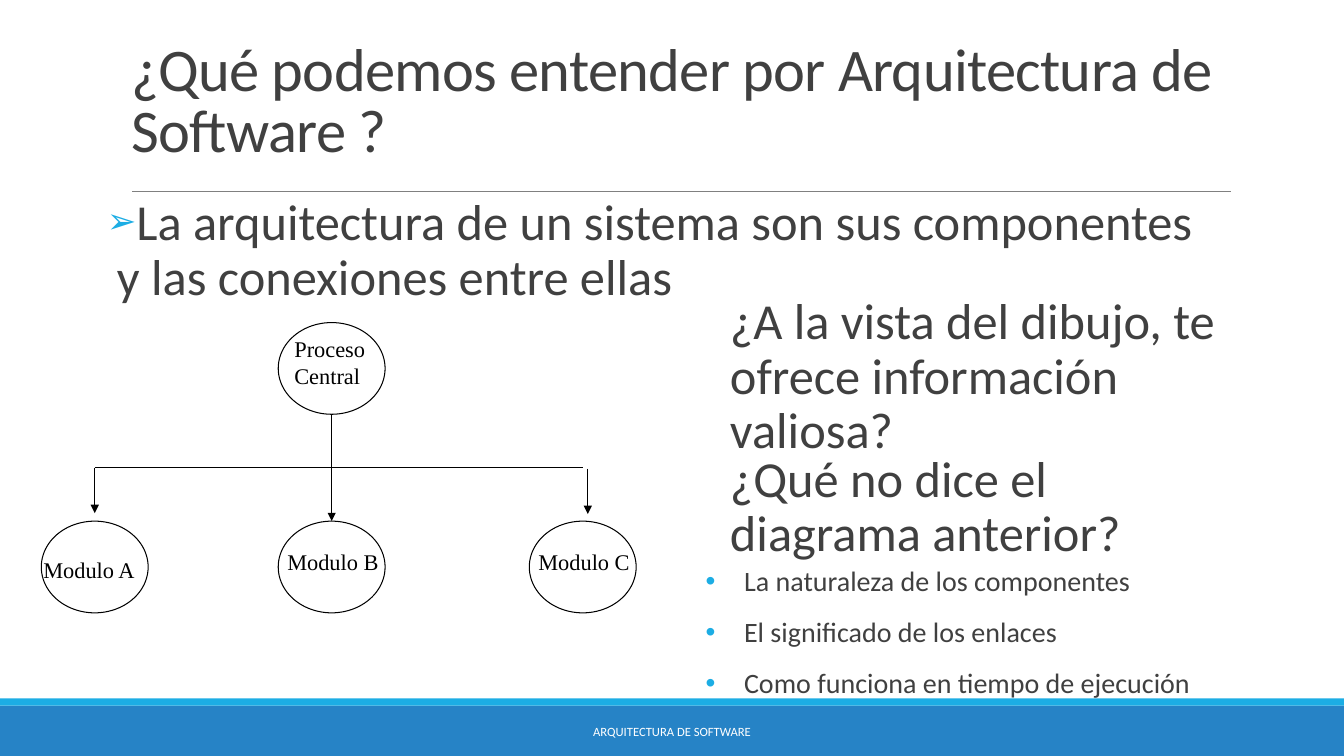
from lxml.etree import SubElement
from pptx import Presentation
from pptx.dml.color import RGBColor
from pptx.enum.shapes import MSO_CONNECTOR as CONNECTOR, MSO_SHAPE as SHAPE
from pptx.enum.text import MSO_ANCHOR as ANCHOR, MSO_AUTO_SIZE as AUTO_SIZE, PP_ALIGN as ALIGN
from pptx.oxml.ns import qn
from pptx.util import Inches, Pt

COLORS = {
    "band": "2683C6",
    "accent": "1CADE4",
    "rule": "808080",
    "text": "404040",
    "ink": "000000",
    "white": "FFFFFF",
}
NODE_WIDTH, NODE_HEIGHT = 1.06, 0.91
BRANCH_Y, MODULE_Y = 4.64, 5.17


def color(name):
    """Return the named colour."""
    return RGBColor.from_string(COLORS[name])


def format_runs(paragraph, size, font, color_name, spacing=None):
    """Format every run of a paragraph."""
    for run in paragraph.runs:
        run.font.size = Pt(size)
        run.font.name = font
        run.font.color.rgb = color(color_name)
        if spacing is not None:
            run.font._element.set("spc", str(round(spacing * 100)))


def add_bullet(paragraph, character, indent, percent):
    """Give a paragraph a coloured bullet with a hanging indent."""
    properties = paragraph._p.get_or_add_pPr()
    properties.set("marL", str(Inches(indent)))
    properties.set("indent", str(-Inches(indent)))
    bullet_color = SubElement(properties, qn("a:buClr"))
    SubElement(bullet_color, qn("a:srgbClr"), val=COLORS["accent"])
    SubElement(properties, qn("a:buSzPct"), val=str(percent * 1000))
    SubElement(properties, qn("a:buFont"), typeface="Arial")
    SubElement(properties, qn("a:buChar"), char=character)


def add_text(slide, box, lines, size=36, font="Calibri", color_name="text", margin=0,
             line_spacing=0.9, space_before=0, bullet=None):
    """Add a wrapped text box with one paragraph for each line."""
    shape = slide.shapes.add_textbox(*map(Inches, box))
    frame = shape.text_frame
    frame.word_wrap = True
    frame.margin_left = frame.margin_right = Inches(margin)
    frame.text = "\n".join(lines)
    for index, paragraph in enumerate(frame.paragraphs):
        if bullet:
            add_bullet(paragraph, *bullet)
        paragraph.line_spacing = line_spacing
        paragraph.space_before = Pt(space_before if index else 0)
        paragraph.space_after = Pt(2 if len(lines) > 1 else 0)
        format_runs(paragraph, size, font, color_name)
    return frame


def add_band(slide, top, height, color_name):
    """Add a full-width filled band."""
    shape = slide.shapes.add_shape(SHAPE.RECTANGLE, 0, Inches(top), Inches(13.33), Inches(height))
    shape.shadow.inherit = False
    shape.fill.solid()
    shape.fill.fore_color.rgb = color(color_name)
    shape.line.fill.background()


def add_line(slide, start, end, color_name="ink", width=0.75, arrow=False):
    """Add a straight line, with an arrowhead at its end if asked."""
    line = slide.shapes.add_connector(CONNECTOR.STRAIGHT, *map(Inches, start + end))
    line.line.color.rgb = color(color_name)
    line.line.width = Pt(width)
    if arrow:
        SubElement(line.line._get_or_add_ln(), qn("a:tailEnd"), type="triangle", w="med", len="med")
    SubElement(line._element.spPr, qn("a:effectLst"))


def add_node(slide, left, top, label, label_left, label_top, label_height=0.36):
    """Add an outlined ellipse and its label."""
    shape = slide.shapes.add_shape(
        SHAPE.OVAL, *map(Inches, (left, top, NODE_WIDTH, NODE_HEIGHT)))
    shape.shadow.inherit = False
    shape.fill.background()
    shape.line.color.rgb = color("ink")
    shape.line.width = Pt(0.75)
    add_text(slide, (label_left, label_top, 1.36, label_height), [label], size=16,
             font="Times New Roman", color_name="ink", margin=0.09, line_spacing=1)


def add_title(slide, text):
    """Place and format the title placeholder."""
    title = slide.shapes.title
    title.left, title.top, title.width, title.height = map(Inches, (1.2, 0.31, 11, 1.38))
    frame = title.text_frame
    frame.text = text
    frame.word_wrap = True
    frame.auto_size = AUTO_SIZE.NONE
    frame.vertical_anchor = ANCHOR.BOTTOM
    paragraph = frame.paragraphs[0]
    paragraph.alignment = ALIGN.LEFT
    paragraph.line_spacing = 0.85
    paragraph.space_before = Pt(0)
    format_runs(paragraph, 43.2, "Calibri", "text", spacing=-0.5)


def add_footer(slide, text):
    """Add the bands at the bottom and the centred footer text."""
    add_band(slide, 7, 0.5, "band")
    add_band(slide, 6.93, 0.07, "accent")
    frame = add_text(slide, (4.03, 7.06, 5.27, 0.4), [text], size=9,
                     color_name="white", margin=0.1, line_spacing=1)
    frame.vertical_anchor = ANCHOR.MIDDLE
    frame.paragraphs[0].alignment = ALIGN.CENTER


def add_diagram(slide):
    """Draw the central process and its three modules."""
    add_node(slide, 2.76, 3.2, "Proceso Central", 2.83, 3.28, 0.63)
    for left, label, label_left, label_top in (
            (0.41, "Modulo A", 0.34, 5.47),
            (2.76, "Modulo B", 2.76, 5.39),
            (5.25, "Modulo C", 5.25, 5.39)):
        add_node(slide, left, MODULE_Y, label, label_left, label_top)
    add_line(slide, (0.94, BRANCH_Y), (5.78, BRANCH_Y))
    for x, top, bottom in ((0.94, BRANCH_Y, 5.09), (3.29, 4.11, MODULE_Y), (5.83, 4.65, 5.1)):
        add_line(slide, (x, top), (x, bottom), arrow=True)


def main():
    """Build the slide and save it."""
    presentation = Presentation()
    presentation.slide_width, presentation.slide_height = Inches(13.33), Inches(7.5)
    slide = presentation.slides.add_slide(presentation.slide_layouts[5])
    add_footer(slide, "ARQUITECTURA DE SOFTWARE")
    add_line(slide, (1.31, 1.9), (12.21, 1.9), "rule", 0.5)
    add_title(slide, "¿Qué podemos entender por Arquitectura de Software ?")
    add_text(slide, (1.06, 1.91, 11, 1.34),
             ["La arquitectura de un sistema son sus componentes y las conexiones entre ellas"],
             bullet=("➢", 0.1, 70))
    add_diagram(slide)
    add_text(slide, (7.24, 2.89, 5.02, 1.89),
             ["¿A la vista del dibujo, te ofrece información valiosa?"])
    add_text(slide, (7.24, 4.45, 5.02, 1.43), ["¿Qué no dice el diagrama anterior?"])
    add_text(slide, (7, 5.58, 6.33, 1.4),
             ["La naturaleza de los componentes",
              "El significado de los enlaces",
              "Como funciona en tiempo de ejecución"],
             size=20, space_before=12.9, bullet=("•", 0.38, 100))
    presentation.save("out.pptx")


if __name__ == "__main__":
    main()
